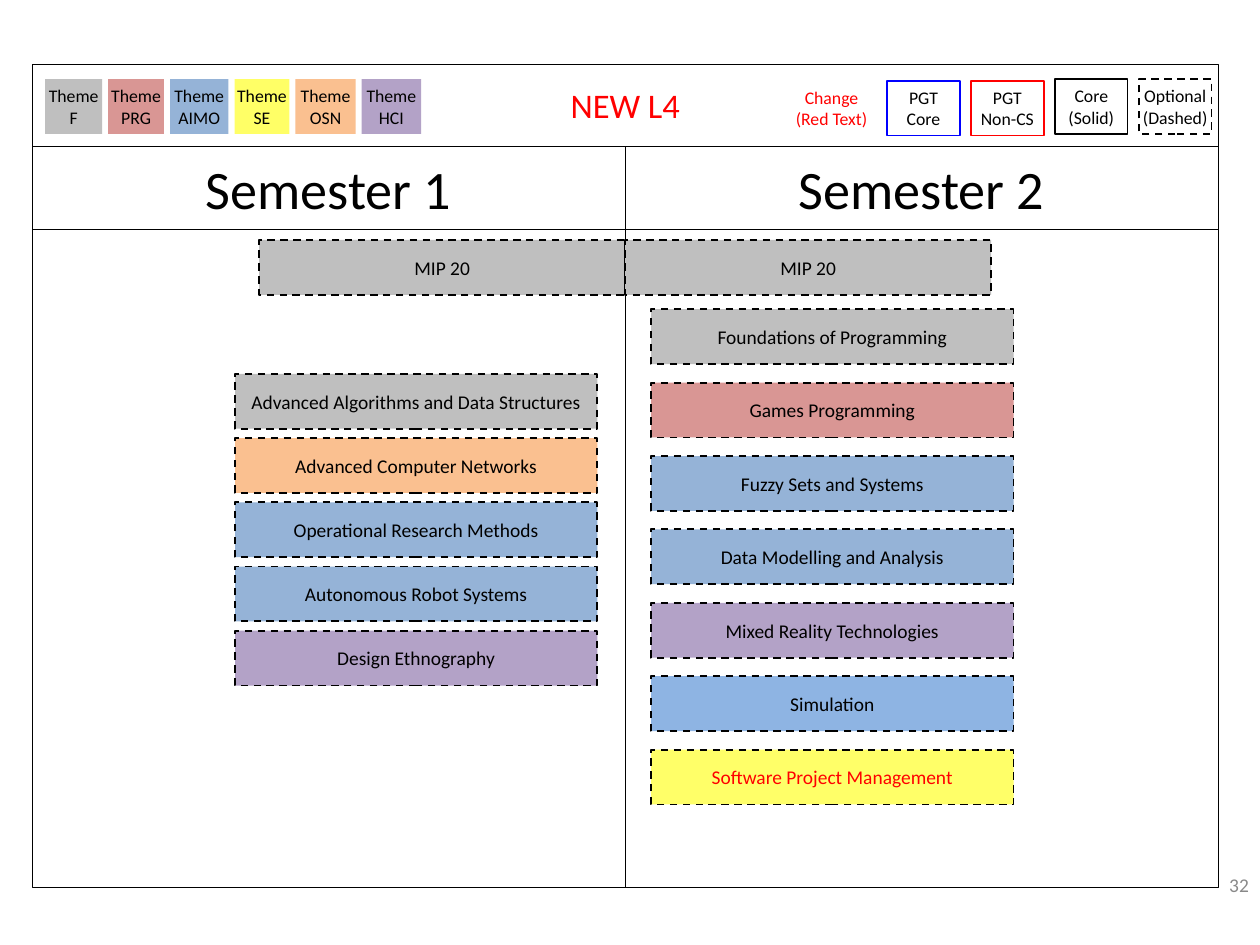
from pptx import Presentation
from pptx import util as u
from pptx.dml.color import RGBColor
from pptx.enum import dml, shapes, text

BLACK, RED, BLUE, MUTED = "000000", "FF0000", "0000FF", "898989"
GREY, ROSE, STEEL, ORANGE, PURPLE = "BFBFBF", "D99694", "95B3D7", "FAC090", "B3A2C7"
SKY, YELLOW, LEMON = "8EB4E3", "FFFF66", "FFFF68"
BOX_H = 44.6


def rgb(value):
    return RGBColor.from_string(value)


def write(sp, words, size, color=BLACK, inset=(0, 0)):
    tf = sp.text_frame
    tf.text = words
    tf.word_wrap = True
    tf.auto_size = text.MSO_AUTO_SIZE.NONE
    tf.vertical_anchor = text.MSO_ANCHOR.MIDDLE
    tf.margin_left = tf.margin_right = u.Pt(inset[0])
    tf.margin_top = tf.margin_bottom = u.Pt(inset[1])
    for p in tf.paragraphs:
        p.alignment = text.PP_ALIGN.CENTER
        p.font.name, p.font.size = "Calibri", u.Pt(size)
        p.font.color.rgb = rgb(color)


def outline(sp, color, width, dashed=False):
    sp.line.color.rgb = rgb(color)
    sp.line.width = u.Pt(width)
    if dashed:
        sp.line.dash_style = dml.MSO_LINE.DASH


def add_box(s, box, fill=None, line=None, width=1.5, dashed=False):
    sp = s.shapes.add_shape(shapes.MSO_SHAPE.RECTANGLE, *map(u.Pt, box))
    sp.shadow.inherit = False
    if fill:
        sp.fill.solid()
        sp.fill.fore_color.rgb = rgb(fill)
    else:
        sp.fill.background()
    if line:
        outline(sp, line, width, dashed)
    else:
        sp.line.fill.background()
    return sp


def add_label(s, box, words, size, color):
    write(s.shapes.add_textbox(*map(u.Pt, box)), words, size, color)


def add_module(s, box, name, fill, color=BLACK):
    sp = add_box(s, box, fill, BLACK, dashed=True)
    write(sp, name, 15.8, color, (7.2, 3.6))


def add_header(s, box):
    """Title bar with the theme colours on the left and the key on the right."""
    x, y, w, h = box
    title = s.shapes.title
    title.left, title.top, title.width, title.height = map(u.Pt, box)
    outline(title, BLACK, 0.75)
    write(title, "NEW L4", 28, RED)

    # Themes
    themes = [("F", GREY, 46.3), ("PRG", ROSE, 45.4), ("AIMO", STEEL, 47.5),
              ("SE", YELLOW, 44.6), ("OSN", ORANGE, 49), ("HCI", PURPLE, 48.2)]
    left = x + 10.7
    for code, fill, width in themes:
        sp = add_box(s, (left, y + 12.2, width, BOX_H), fill)
        write(sp, f"Theme\n{code}", 14.4)
        left += width + 4.9

    # Key to outlines and text colour
    add_label(s, (x + 612, y + 13.5, 75.6, BOX_H), "Change\n(Red Text)", 14.4, RED)
    key = [("PGT\nCore", BLUE, False, 13.5), ("PGT\nNon-CS", RED, False, 13.5),
           ("Core\n(Solid)", BLACK, False, 12.2), ("Optional\n(Dashed)", BLACK, True, 12.2)]
    for i, (words, line, dashed, drop) in enumerate(key):
        sp = add_box(s, (x + 695 + 68.2 * i, y + drop, 59, BOX_H), None, line, dashed=dashed)
        write(sp, words, 14.4)


def add_semester(s, box, name, project_dx, modules, dx, dy, pitch):
    """Heading cell, project block and evenly spaced modules of one semester."""
    x, y, w, h = box
    head = 67.5
    write(add_box(s, (x, y, w, head), None, BLACK, 0.75), name, 44)
    add_box(s, (x, y + head, w, h - head), None, BLACK, 0.75)
    add_module(s, (x + project_dx, y + 76, 297.4, BOX_H), "MIP 20", GREY)
    for i, module in enumerate(modules):
        add_module(s, (x + dx, y + dy + pitch * i, 294.5, BOX_H), *module)


def main():
    prs = Presentation()
    prs.slide_width, prs.slide_height = u.Pt(1024), u.Pt(768)
    s = prs.slides.add_slide(prs.slide_layouts[5])

    left, top, half, bar = 26, 52, 482.1, 67
    add_header(s, (left, top, 2 * half, bar))

    # Semesters
    autumn = [("Advanced Algorithms and Data Structures", GREY),
              ("Advanced Computer Networks", ORANGE),
              ("Operational Research Methods", STEEL),
              ("Autonomous Robot Systems", STEEL),
              ("Design Ethnography", PURPLE)]
    spring = [("Foundations of Programming", GREY),
              ("Games Programming", ROSE),
              ("Fuzzy Sets and Systems", STEEL),
              ("Data Modelling and Analysis", STEEL),
              ("Mixed Reality Technologies", PURPLE),
              ("Simulation", SKY),
              ("Software Project Management", LEMON, RED)]
    y, h = top + bar, 602.4
    add_semester(s, (left, y, half, h), "Semester 1", half - 297.4, autumn, 165, 184.8, 52.2)
    add_semester(s, (left + half, y, half, h), "Semester 2", 0, spring, 21.1, 132.3, 59.65)

    # Slide number
    add_label(s, (990, 700.6, 34, 37.4), "32", 15.8, MUTED)
    prs.save("out.pptx")


if __name__ == "__main__":
    main()
